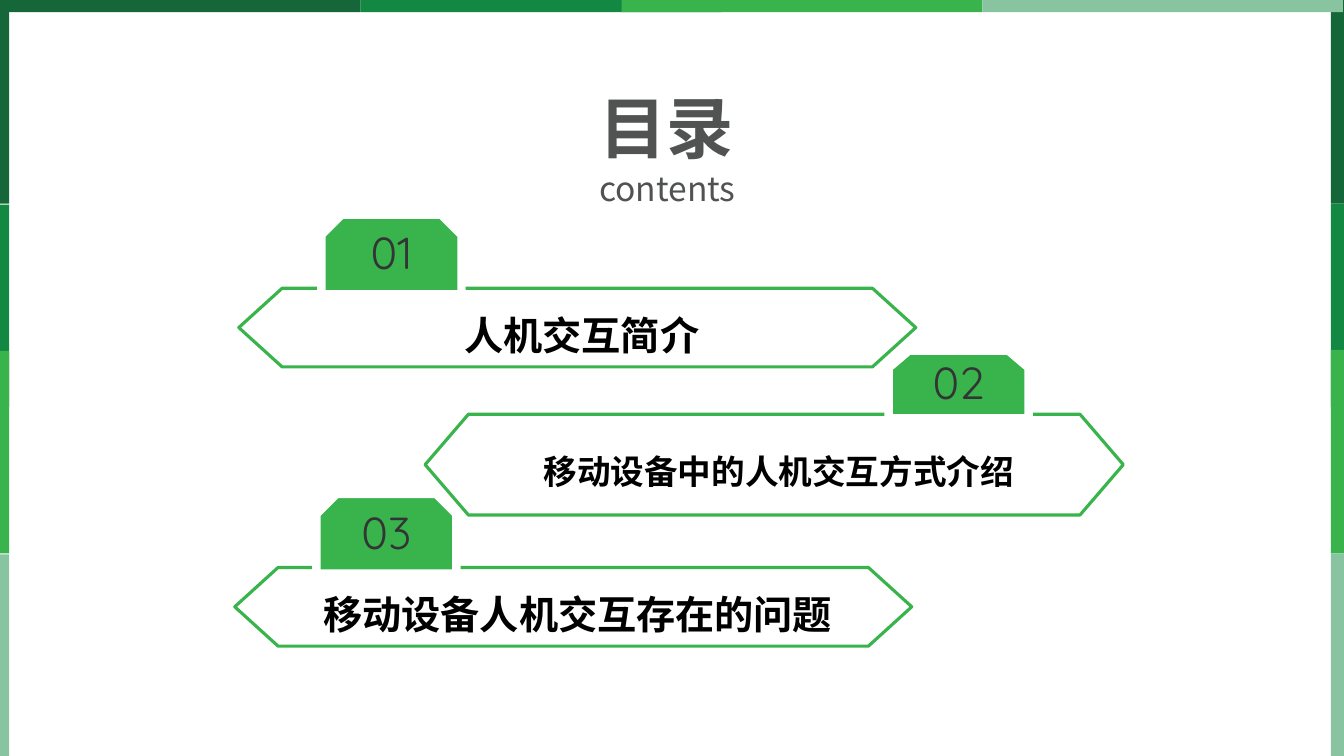
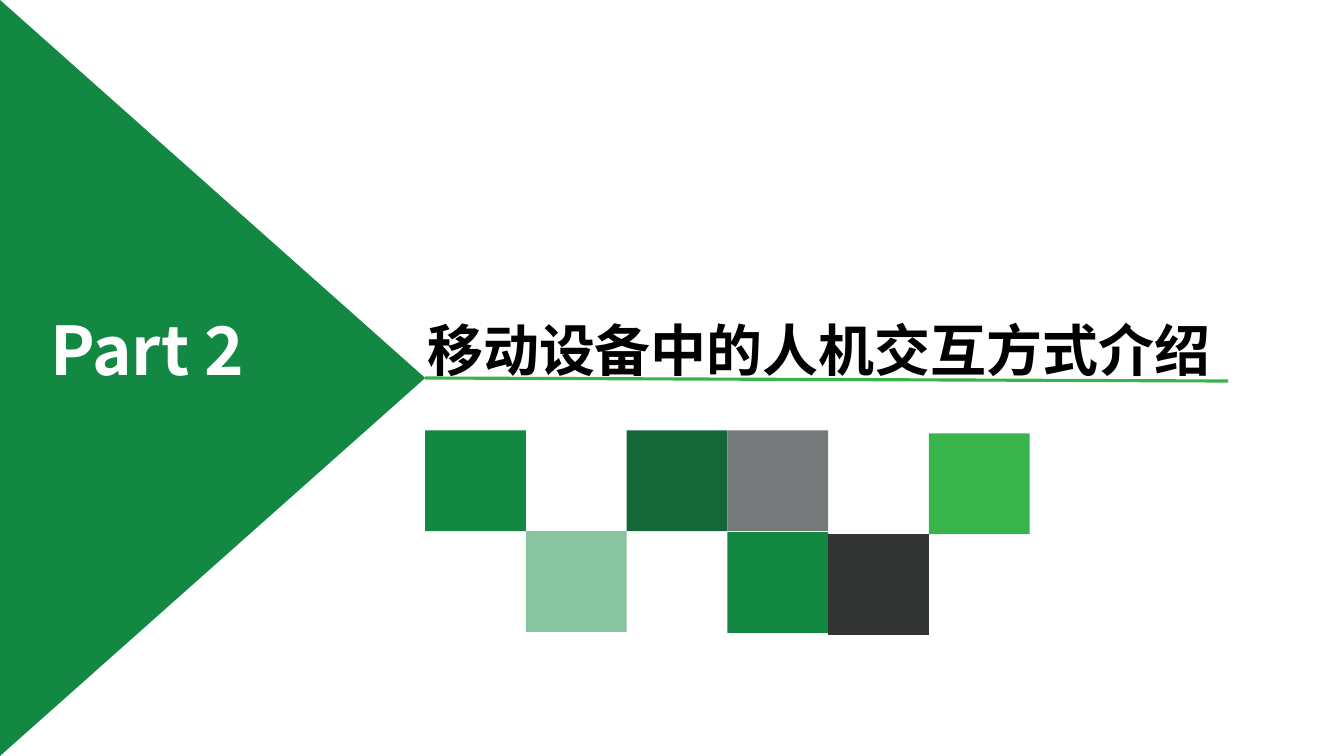
from lxml.etree import SubElement
from pptx import Presentation
from pptx.dml.color import RGBColor
from pptx.enum.shapes import MSO_CONNECTOR, MSO_SHAPE
from pptx.enum.text import MSO_ANCHOR, MSO_AUTO_SIZE, PP_ALIGN
from pptx.oxml.ns import qn
from pptx.util import Inches, Pt

# Shared colours and fonts
DARK, GREEN, LIME, PALE = "15673A", "128842", "39B44C", "89C4A1"
INK, GRAY, STEEL, BLACK, WHITE = "333535", "515353", "757979", "000000", "FFFFFF"
SANS, ROUND = "Noto Sans CJK SC", "Quicksand"


def paint(shape, fill=None, line=None, width=1):
    """Set fill and line from hex strings; None means no paint."""
    shape.shadow.inherit = False
    for part, color in ((shape.fill, fill), (shape.line.fill, line)):
        if color:
            part.solid()
            part.fore_color.rgb = RGBColor.from_string(color)
        else:
            part.background()
    if line:
        shape.line.width = Pt(width)
    return shape


def write(shape, text, size, color=BLACK, font=SANS, bold=False, align=PP_ALIGN.LEFT,
          anchor=MSO_ANCHOR.TOP, space=1.0, inset=(0.1, 0.05, 0.1, 0.05)):
    """Put one formatted line of text into a shape."""
    frame = shape.text_frame
    frame.word_wrap = True
    frame.auto_size = MSO_AUTO_SIZE.NONE
    frame.vertical_anchor = anchor
    (frame.margin_left, frame.margin_top,
     frame.margin_right, frame.margin_bottom) = map(Inches, inset)
    para = frame.paragraphs[0]
    para.alignment = align
    para.line_spacing = space
    run = para.add_run()
    run.text = text
    run.font.size = Pt(size)
    run.font.bold = bold
    run.font.color.rgb = RGBColor.from_string(color)
    run.font.name = font
    SubElement(run._r.get_or_add_rPr(), qn("a:ea")).set("typeface", font)


deck = Presentation()
deck.slide_width, deck.slide_height = Inches(13.34), Inches(7.5)
layout = deck.slide_layouts[5]
pages = []

# Titles
for text, size, color, box in (
        ("目录", 48, GRAY, (5.85, 0.81, 1.55, 0.9)),
        ("移动设备中的人机交互方式介绍", 40, BLACK, (4.14, 3.08, 8.2, 0.77))):
    page = deck.slides.add_slide(layout)
    title = page.shapes.title
    title.left, title.top, title.width, title.height = map(Inches, box)
    write(title, text, size, color, bold=True)
    pages.append(page.shapes)
toc, part = pages

# Contents: frame of coloured bars on three sides
bars = zip((DARK, GREEN, LIME, PALE), (0, 3.58, 6.17, 9.75), (0, 2.02, 3.47, 5.49))
for color, x, y in bars:
    for box in ((x, 0, 3.58, 0.12), (0, y + 0.01, 0.09, 2.01), (13.21, y, 0.13, 2.02)):
        paint(toc.add_shape(MSO_SHAPE.RECTANGLE, *map(Inches, box)), color)

label = toc.add_textbox(*map(Inches, (5.85, 1.62, 2.38, 0.5)))
write(label, "contents", 24, GRAY)

# Contents: pointed banners, each with a numbered tab
items = (
    ("人机交互简介", 28, WHITE, (2.37, 2.86, 6.72, 0.78), (3.19, 2.13, 1.39, 0.79), 0.2),
    ("移动设备中的人机交互方式介绍", 24, None, (4.22, 4.11, 6.93, 1), (8.82, 3.48, 1.39, 0.67), 0.17),
    ("移动设备人机交互存在的问题", 28, WHITE, (2.33, 5.63, 6.72, 0.78), (3.14, 4.9, 1.39, 0.79), 0.2),
)
for number, (text, size, fill, banner, tab, snip) in enumerate(items, 1):
    x, y, w, h = banner
    tip = 0.43
    pen = toc.build_freeform(Inches(x + tip), Inches(y))
    pen.add_line_segments([(Inches(a), Inches(b)) for a, b in (
        (x + w - tip, y), (x + w, y + h / 2), (x + w - tip, y + h),
        (x + tip, y + h), (x, y + h / 2))])
    shape = paint(pen.convert_to_shape(), fill, LIME, 2.25)
    write(shape, text, size, bold=True, align=PP_ALIGN.CENTER, anchor=MSO_ANCHOR.MIDDLE,
          space=1.3, inset=(0.6, 0, 0.51, 0))

    x, y, w, h = tab
    pen = toc.build_freeform(Inches(x + 0.2), Inches(y))
    pen.add_line_segments([(Inches(a), Inches(b)) for a, b in (
        (x + w - 0.2, y), (x + w, y + snip), (x + w, y + h), (x, y + h), (x, y + snip))])
    shape = paint(pen.convert_to_shape(), LIME, WHITE, 6)
    write(shape, f"{number:02}", 32, INK, ROUND, align=PP_ALIGN.CENTER,
          anchor=MSO_ANCHOR.MIDDLE, inset=(0.1, 0, 0.1, 0.05))

# Part: big arrow at the left edge
arrow = part.add_shape(MSO_SHAPE.ISOSCELES_TRIANGLE, *map(Inches, (-1.64, 1.64, 7.5, 4.22)))
arrow.rotation = 90
paint(arrow, GREEN)
label = part.add_textbox(*map(Inches, (0.4, 3.01, 2.69, 0.9)))
write(label, "Part 2", 48, WHITE, bold=True)

# Part: rule under the title
rule = part.add_connector(MSO_CONNECTOR.STRAIGHT, *map(Inches, (4.22, 3.75, 12.19, 3.78)))
rule.line.color.rgb = RGBColor.from_string(LIME)
rule.line.width = Pt(2.25)
SubElement(rule._element.spPr, qn("a:effectLst"))

# Part: checkered squares, one inch each
for col, y, color in ((0, 4.27, GREEN), (1, 5.27, PALE), (2, 4.27, DARK), (3, 4.27, STEEL),
                      (3, 5.28, GREEN), (4, 5.3, INK), (5, 4.3, LIME)):
    square = part.add_shape(MSO_SHAPE.RECTANGLE, *map(Inches, (4.22 + col, y, 1, 1)))
    paint(square, color)

deck.save("out.pptx")
